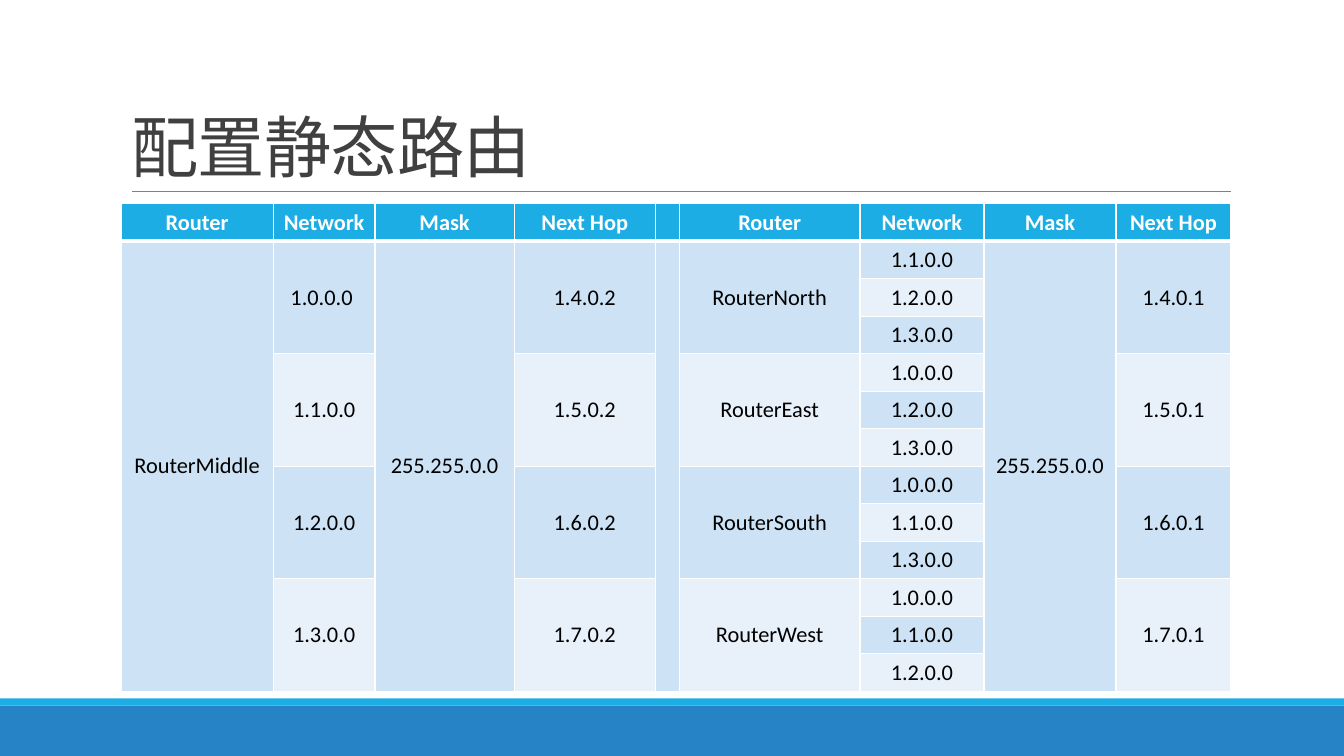
from lxml import etree
from pptx import Presentation
from pptx.dml.color import RGBColor
from pptx.enum.shapes import MSO_CONNECTOR, MSO_SHAPE
from pptx.enum.text import MSO_ANCHOR, MSO_AUTO_SIZE, PP_ALIGN
from pptx.oxml.ns import qn
from pptx.util import Inches, Pt

RECTANGLE = MSO_SHAPE.RECTANGLE
STRAIGHT = MSO_CONNECTOR.STRAIGHT
MIDDLE, BOTTOM = MSO_ANCHOR.MIDDLE, MSO_ANCHOR.BOTTOM
LEFT, CENTER = PP_ALIGN.LEFT, PP_ALIGN.CENTER
NO_AUTOFIT = MSO_AUTO_SIZE.NONE
TITLE_ONLY = 5

HEADINGS = ["Router", "Network", "Mask", "Next Hop"]
COLUMN_WIDTHS = [1.51, 1.01, 1.38, 1.4, 0.23, 1.79, 1.23, 1.31, 1.14]
ROW_HEIGHT = 0.367
GROUP_ROWS = 3
MASK = "255.255.0.0"
# One list per column: the texts share the twelve body rows equally.
COLUMNS = [
    ["RouterMiddle"],
    ["1.0.0.0 ", "1.1.0.0", "1.2.0.0", "1.3.0.0"],
    [MASK],
    ["1.4.0.2", "1.5.0.2", "1.6.0.2", "1.7.0.2"],
    [""],
    ["RouterNorth", "RouterEast", "RouterSouth", "RouterWest"],
    ["1.1.0.0", "1.2.0.0", "1.3.0.0",
     "1.0.0.0", "1.2.0.0", "1.3.0.0",
     "1.0.0.0", "1.1.0.0", "1.3.0.0",
     "1.0.0.0", "1.1.0.0", "1.2.0.0"],
    [MASK],
    ["1.4.0.1", "1.5.0.1", "1.6.0.1", "1.7.0.1"],
]
BODY_ROWS = 4 * GROUP_ROWS


def color(hex_text):
    return RGBColor.from_string(hex_text)


class SlideBuilder:
    font_name = "Calibri"
    header_fill = "1CADE4"
    band_fills = ["E8F1FA", "CDE3F5"]

    def __init__(self, presentation):
        self.slide = presentation.slides.add_slide(
            presentation.slide_layouts[TITLE_ONLY])

    def set_font(self, paragraph, size, font_color, bold=False):
        font = paragraph.font
        font.name = self.font_name
        font.size = Pt(size)
        font.bold = bold
        font.color.rgb = color(font_color)

    def title(self, text, left, top, width, height):
        shape = self.slide.shapes.title
        shape.left, shape.top = Inches(left), Inches(top)
        shape.width, shape.height = Inches(width), Inches(height)
        frame = shape.text_frame
        frame.text = text
        frame.auto_size = NO_AUTOFIT
        frame.vertical_anchor = BOTTOM
        paragraph = frame.paragraphs[0]
        paragraph.alignment = LEFT
        paragraph.line_spacing = 0.85
        self.set_font(paragraph, 48, "404040")
        paragraph.runs[0]._r.get_or_add_rPr().set("spc", "-50")

    def bar(self, left, top, width, height, fill):
        shape = self.slide.shapes.add_shape(
            RECTANGLE, Inches(left), Inches(top), Inches(width), Inches(height))
        shape.shadow.inherit = False
        shape.fill.solid()
        shape.fill.fore_color.rgb = color(fill)
        shape.line.fill.background()

    def rule(self, left, right, y):
        connector = self.slide.shapes.add_connector(
            STRAIGHT, Inches(left), Inches(y), Inches(right), Inches(y))
        connector.line.color.rgb = color("808080")
        connector.line.width = Pt(0.5)
        etree.SubElement(connector._element.spPr, qn("a:effectLst"))

    def table(self, left, top, widths, row_count, row_height):
        frame = self.slide.shapes.add_table(
            row_count, len(widths), Inches(left), Inches(top),
            Inches(sum(widths)), Inches(row_count * row_height))
        for column, width in zip(frame.table.columns, widths):
            column.width = Inches(width)
        for row in frame.table.rows:
            row.height = Inches(row_height)
        return frame.table

    def borders(self, cell, bottom_width):
        properties = cell._tc.get_or_add_tcPr()
        sides = {"lnL": 1, "lnR": 1, "lnT": 1, "lnB": bottom_width}
        for index, (side, width) in enumerate(sides.items()):
            line = etree.Element(qn(f"a:{side}"), w=str(Pt(width)))
            fill = etree.SubElement(line, qn("a:solidFill"))
            etree.SubElement(fill, qn("a:srgbClr"), val="FFFFFF")
            properties.insert(index, line)

    def cell(self, cell, text, fill, header=False):
        cell.fill.solid()
        cell.fill.fore_color.rgb = color(fill)
        self.borders(cell, 3 if header else 1)
        cell.vertical_anchor = MIDDLE
        if not text:
            cell.margin_top = cell.margin_bottom = 0
        cell.text = text
        paragraph = cell.text_frame.paragraphs[0]
        paragraph.alignment = CENTER
        self.set_font(paragraph, 16, "FFFFFF" if header else "000000", header)

    def table_column(self, table, index, heading, texts):
        """Fill one column, merging the rows that each text covers."""
        self.cell(table.cell(0, index), heading, self.header_fill, header=True)
        span = BODY_ROWS // len(texts)
        for number, text in enumerate(texts):
            first = 1 + number * span
            fill = self.band_fills[first % 2]
            for row in range(first, first + span):
                self.cell(table.cell(row, index), text if row == first else "", fill)
            if span > 1:
                table.cell(first, index).merge(table.cell(first + span - 1, index))


def main():
    presentation = Presentation()
    presentation.slide_width = Inches(13.33)
    presentation.slide_height = Inches(7.5)
    builder = SlideBuilder(presentation)
    builder.bar(0, 7, 13.33, 0.5, "2683C6")
    builder.bar(0, 6.93, 13.33, 0.07, "1CADE4")
    builder.rule(1.31, 12.21, 1.9)
    builder.title("配置静态路由", 1.2, 0.31, 11, 1.59)
    table = builder.table(1.2, 2.02, COLUMN_WIDTHS, BODY_ROWS + 1, ROW_HEIGHT)
    headings = HEADINGS + [""] + HEADINGS
    for index, (heading, texts) in enumerate(zip(headings, COLUMNS)):
        builder.table_column(table, index, heading, texts)
    presentation.save("out.pptx")


if __name__ == "__main__":
    main()
